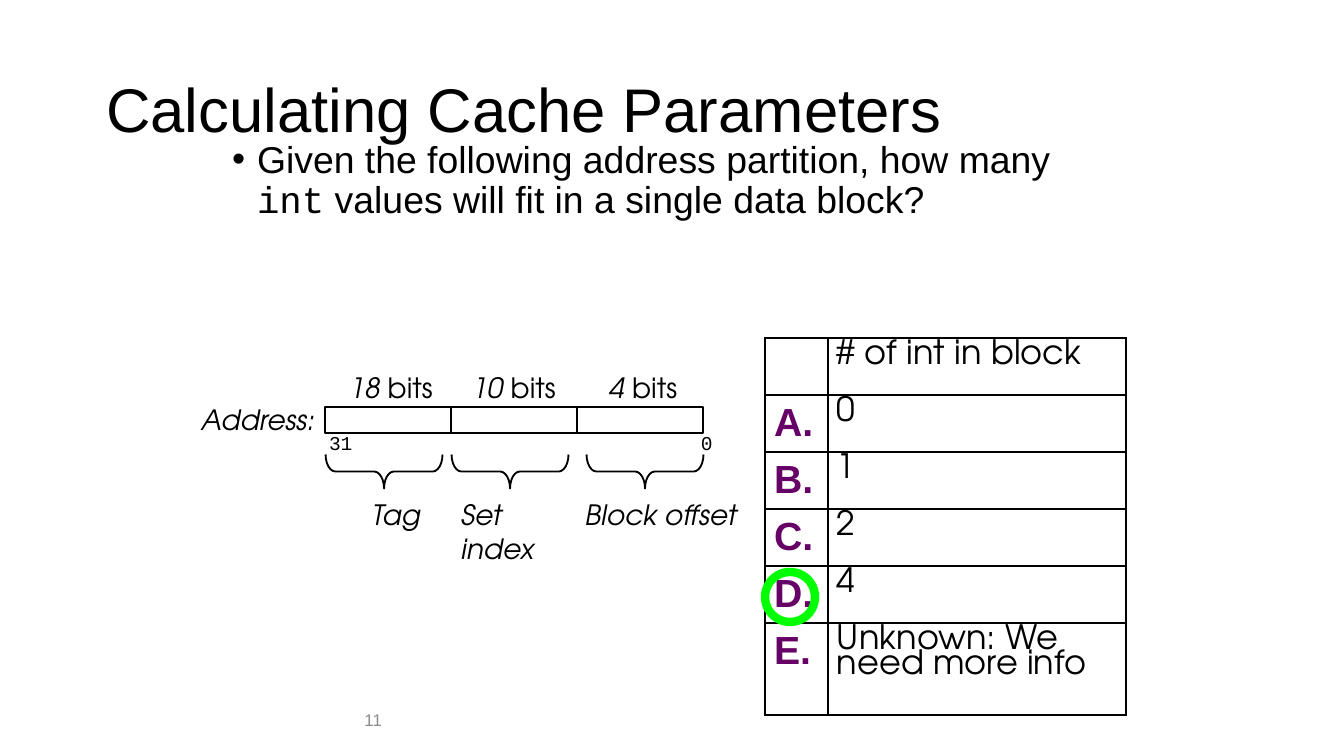
"""Build the slide on calculating cache parameters."""
from lxml import etree
from pptx import Presentation
from pptx.dml.color import RGBColor
from pptx.enum.shapes import MSO_SHAPE as SHAPE
from pptx.enum.text import MSO_ANCHOR as ANCHOR, MSO_AUTO_SIZE as AUTOSIZE, PP_ALIGN as ALIGN
from pptx.oxml.ns import qn
from pptx.util import Pt

PX = 914400 / 134.4
COLORS = {"ink": "000000", "letter": "660066", "number": "8B8B8B", "answer": "00FF00"}
SANS, MONO, GEOMETRIC = "Arial", "Courier New", "TeX Gyre Adventor"


def px(*lengths):
    return [round(length * PX) for length in lengths]


def write(frame, runs, size, font=GEOMETRIC, color="ink", bold=False, align=ALIGN.LEFT,
          anchor=ANCHOR.TOP, spacing=1.0, insets=(13, 7), wrap=True):
    frame.auto_size = AUTOSIZE.NONE
    frame.word_wrap = wrap
    frame.vertical_anchor = anchor
    frame.margin_left = frame.margin_right = px(insets[0])[0]
    frame.margin_top = frame.margin_bottom = px(insets[1])[0]
    paragraph = frame.paragraphs[0]
    paragraph.alignment = align
    paragraph.line_spacing = spacing
    paragraph.space_before = Pt(0)
    for text, changes in runs:
        run = paragraph.add_run()
        run.text = text
        run.font.name = changes.get("font", font)
        run.font.italic = changes.get("italic", False)
        run.font.size = Pt(size)
        run.font.bold = bold
        run.font.color.rgb = RGBColor.from_string(COLORS[color])
    return paragraph


deck = Presentation()
deck.slide_width, deck.slide_height = px(1344, 756)
slide = deck.slides.add_slide(deck.slide_layouts[1])
shapes = slide.shapes

title, question = slide.placeholders
title.left, title.top, title.width, title.height = px(93, 40, 1159, 146)
write(title.text_frame, [("Calculating Cache Parameters", {})], 33, SANS,
      anchor=ANCHOR.MIDDLE, spacing=0.9)

question.left, question.top, question.width, question.height = px(219, 134, 890, 176)
bullet = write(question.text_frame, [
    ("Given the following address partition, how many ", {}),
    ("int", {"font": MONO}),
    (" values will fit in a single data block?", {})], 20, SANS, spacing=0.9)
indent = px(25)[0]
bullet_format = bullet._p.get_or_add_pPr()
bullet_format.set("marL", str(indent))
bullet_format.set("indent", str(-indent))
etree.SubElement(bullet_format, qn("a:buFont")).set("typeface", SANS)
etree.SubElement(bullet_format, qn("a:buChar")).set("char", "•")

slide_number = shapes.add_textbox(*px(168, 700, 227, 40))
write(slide_number.text_frame, [("11", {})], 9, SANS, "number",
      align=ALIGN.RIGHT, anchor=ANCHOR.MIDDLE)

ITALIC = {"italic": True}
address = shapes.add_textbox(*px(188, 396, 137, 47))
write(address.text_frame, [("Address:", ITALIC)], 15, anchor=ANCHOR.MIDDLE, wrap=False)

FIELD_LEFT, FIELD_WIDTH = 325, 126
fields = [
    ("18", 339, 103, "Tag", 362, 66, 43, 384),
    ("10", 462, 103, "Set index", FIELD_LEFT + FIELD_WIDTH, FIELD_WIDTH, 77, 510),
    ("4", 599, 87, "Block offset", 575, 165, 43, 645),
]
for index, (bits, bits_left, bits_width, name, name_left, name_width,
            name_height, brace_center) in enumerate(fields):
    field = shapes.add_shape(SHAPE.RECTANGLE,
                             *px(FIELD_LEFT + index * FIELD_WIDTH, 407, FIELD_WIDTH, 26))
    brace = shapes.add_shape(SHAPE.RIGHT_BRACE, *px(brace_center - 17, 413, 34, 117))
    brace.rotation = 90
    brace.adjustments[0] = 0.29
    for outline in (field, brace):
        outline.shadow.inherit = False
        outline.fill.background()
        outline.line.color.rgb = RGBColor.from_string(COLORS["ink"])
        outline.line.width = Pt(1)
    bits_label = shapes.add_textbox(*px(bits_left, 366, bits_width, 43))
    write(bits_label.text_frame, [(bits, ITALIC), (" bits", {})], 15,
          insets=(10, 5), wrap=False)
    name_label = shapes.add_textbox(*px(name_left, 493, name_width, name_height))
    write(name_label.text_frame, [(name, ITALIC)], 15, insets=(10, 5),
          wrap=name == "Set index")

for bit, left, width in (("31", 316, 50), ("0", 688, 37)):
    bit_label = shapes.add_textbox(*px(left, 425, width, 36))
    write(bit_label.text_frame, [(bit, {})], 10.5, MONO, anchor=ANCHOR.MIDDLE, wrap=False)

choices = [("", "# of int in block"), ("A.", "0"), ("B.", "1"), ("C.", "2"),
           ("D.", "4"), ("E.", "Unknown: We need more info")]
answers = shapes.add_table(len(choices), 2, *px(765, 338, 361, 377)).table
answers.first_row = answers.horz_banding = False
for column, width in zip(answers.columns, px(63, 298)):
    column.width = width
for row, height in zip(answers.rows, px(57, 57, 57, 57, 57, 92)):
    row.height = height
for row, (letter, value) in zip(answers.rows, choices):
    letter_cell, value_cell = row.cells
    if letter:
        write(letter_cell.text_frame, [(letter, {})], 21, SANS, "letter", bold=True)
    write(value_cell.text_frame, [(value, {})], 18, spacing=0.8)
    for cell in row.cells:
        cell.margin_left = cell.margin_right = px(9)[0]
        cell.margin_top = cell.margin_bottom = px(6)[0]
        cell.fill.background()
        cell_format = cell._tc.get_or_add_tcPr()
        for position, side in enumerate(("lnL", "lnR", "lnT", "lnB")):
            border = etree.Element(qn(f"a:{side}"), w=str(Pt(1)))
            solid = etree.SubElement(border, qn("a:solidFill"))
            etree.SubElement(solid, qn("a:srgbClr")).set("val", COLORS["ink"])
            cell_format.insert(position, border)

ring = shapes.add_shape(SHAPE.OVAL, *px(765, 572, 50, 50))
ring.shadow.inherit = False
ring.fill.background()
ring.line.color.rgb = RGBColor.from_string(COLORS["answer"])
ring.line.width = Pt(4.5)

deck.save("out.pptx")
